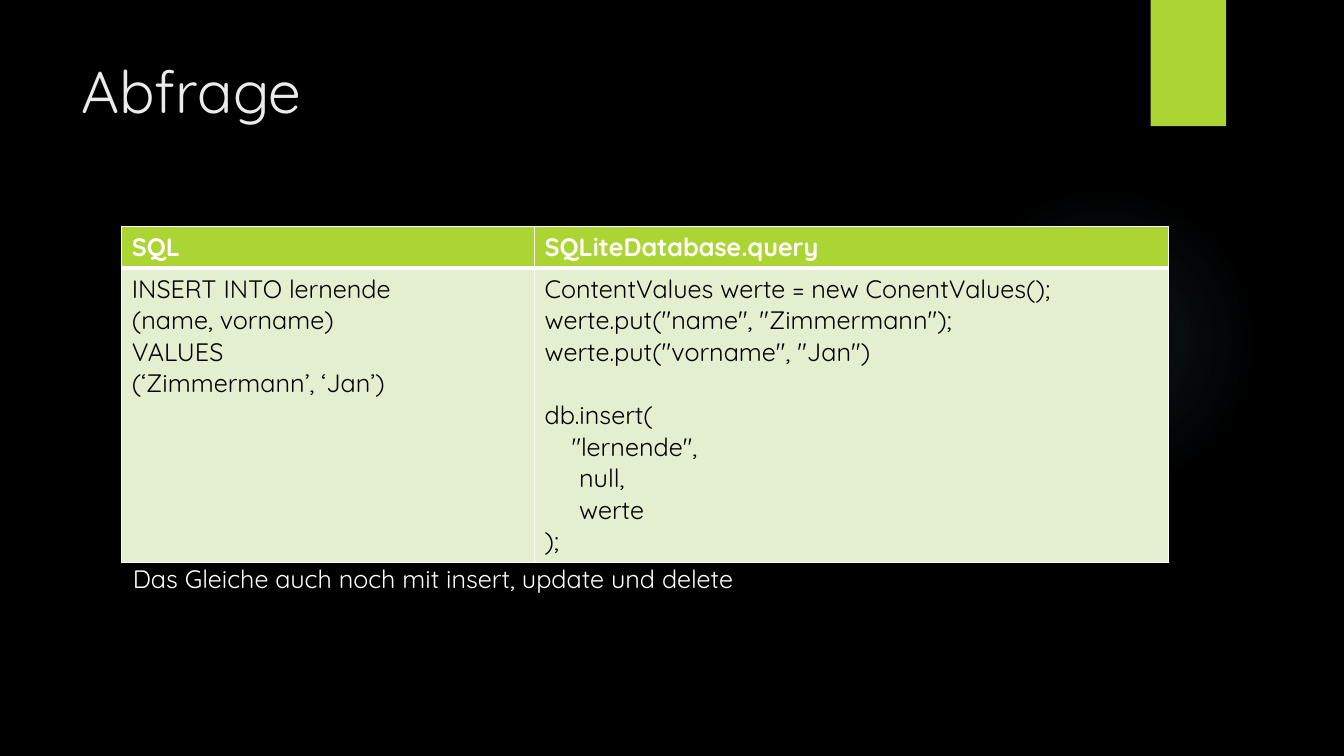
"""Build the "Abfrage" slide: an SQL insert beside its equivalent in code."""
from pptx import Presentation
from pptx.dml.color import RGBColor
from pptx.enum.shapes import MSO_SHAPE
from pptx.enum.text import MSO_ANCHOR, PP_ALIGN
from pptx.oxml import parse_xml
from pptx.oxml.ns import nsdecls
from pptx.util import Cm, Pt

GREEN, PALE, WHITE = "ACD433", "E3EFCE", "FFFFFF"


def rgb(color):
    return RGBColor.from_string(color)


def add_text(p, text, color, size=18, bold=False):
    p.alignment = PP_ALIGN.LEFT
    r = p.add_run()
    r.text = text
    r.font.name = "Quicksand"
    r.font.size = Pt(size)
    r.font.bold = bold
    r.font.color.rgb = rgb(color)


prs = Presentation()
prs.slide_width, prs.slide_height = Cm(33.87), Cm(19.05)
s = prs.slides.add_slide(prs.slide_layouts[5])
s.background.fill.solid()
s.background.fill.fore_color.rgb = rgb("000000")

glow = s.shapes.add_shape(MSO_SHAPE.OVAL, Cm(23.9), Cm(4.65), Cm(7.82), Cm(7.82))
glow.shadow.inherit = False
glow.line.fill.background()
glow.fill.background()
stops = "".join(
    f'<a:gs pos="{pos}000"><a:srgbClr val="7AC4F0"><a:alpha val="{alpha}000"/></a:srgbClr></a:gs>'
    for pos, alpha in [(0, 7), (36, 6), (69, 0), (100, 0)])
no_fill = glow.fill._xPr.find("{*}noFill")
no_fill.getparent().replace(no_fill, parse_xml(
    f'<a:gradFill {nsdecls("a")}><a:gsLst>{stops}</a:gsLst><a:path path="circle">'
    '<a:fillToRect l="50000" t="50000" r="50000" b="50000"/></a:path></a:gradFill>'))

tab = s.shapes.add_shape(MSO_SHAPE.RECTANGLE, Cm(29), 0, Cm(1.9), Cm(3.18))
tab.shadow.inherit = False
tab.fill.solid()
tab.fill.fore_color.rgb = rgb(GREEN)
tab.line.fill.background()

title = s.shapes.title
title.left, title.top, title.width, title.height = Cm(1.8), Cm(1.25), Cm(26.14), Cm(3.89)
title.text_frame.vertical_anchor = MSO_ANCHOR.TOP
add_text(title.text_frame.paragraphs[0], "Abfrage", "EBEBEB", 42)

rows = [
    (["SQL"], ["SQLiteDatabase.query"]),
    (["INSERT INTO lernende", "(name, vorname)", "VALUES", "(‘Zimmermann’, ‘Jan’)"],
     ["ContentValues werte = new ConentValues();", 'werte.put("name", "Zimmermann");',
      'werte.put("vorname", "Jan")', "db.insert(", '"lernende",', "null,", "werte", ");"]),
]
indents = {'"lernende",': 0.68, "null,": 0.87, "werte": 0.87}

table = s.shapes.add_table(2, 2, Cm(3.07), Cm(5.7), Cm(26.37), Cm(8.46)).table
table.horz_banding = False
table.columns[0].width, table.columns[1].width = Cm(10.4), Cm(15.97)
table.rows[0].height, table.rows[1].height = Cm(1.04), Cm(7.42)
for i, row in enumerate(rows):
    header = i == 0
    widths = {"lnL": 1, "lnR": 1, "lnT": 1 if header else 3, "lnB": 3 if header else 1}
    for j, lines in enumerate(row):
        cell = table.cell(i, j)
        cell.fill.solid()
        cell.fill.fore_color.rgb = rgb(GREEN if header else PALE)
        for k, (side, width) in enumerate(widths.items()):
            cell._tc.tcPr.insert(k, parse_xml(
                f'<a:{side} {nsdecls("a")} w="{Pt(width)}"><a:solidFill>'
                f'<a:srgbClr val="{WHITE}"/></a:solidFill></a:{side}>'))
        tf = cell.text_frame
        for k, line in enumerate(lines):
            p = tf.add_paragraph() if k else tf.paragraphs[0]
            add_text(p, line, WHITE if header else "000000", bold=header)
            if line in indents:
                p._p.get_or_add_pPr().set("marL", str(Cm(indents[line])))
            if line == "db.insert(":
                p.space_before = Pt(22.5)

note = s.shapes.add_textbox(Cm(3.1), Cm(14.07), Cm(26.34), Cm(1.02))
note.text_frame.word_wrap = True
add_text(note.text_frame.paragraphs[0],
         "Das Gleiche auch noch mit insert, update und delete", WHITE)

prs.save("out.pptx")
